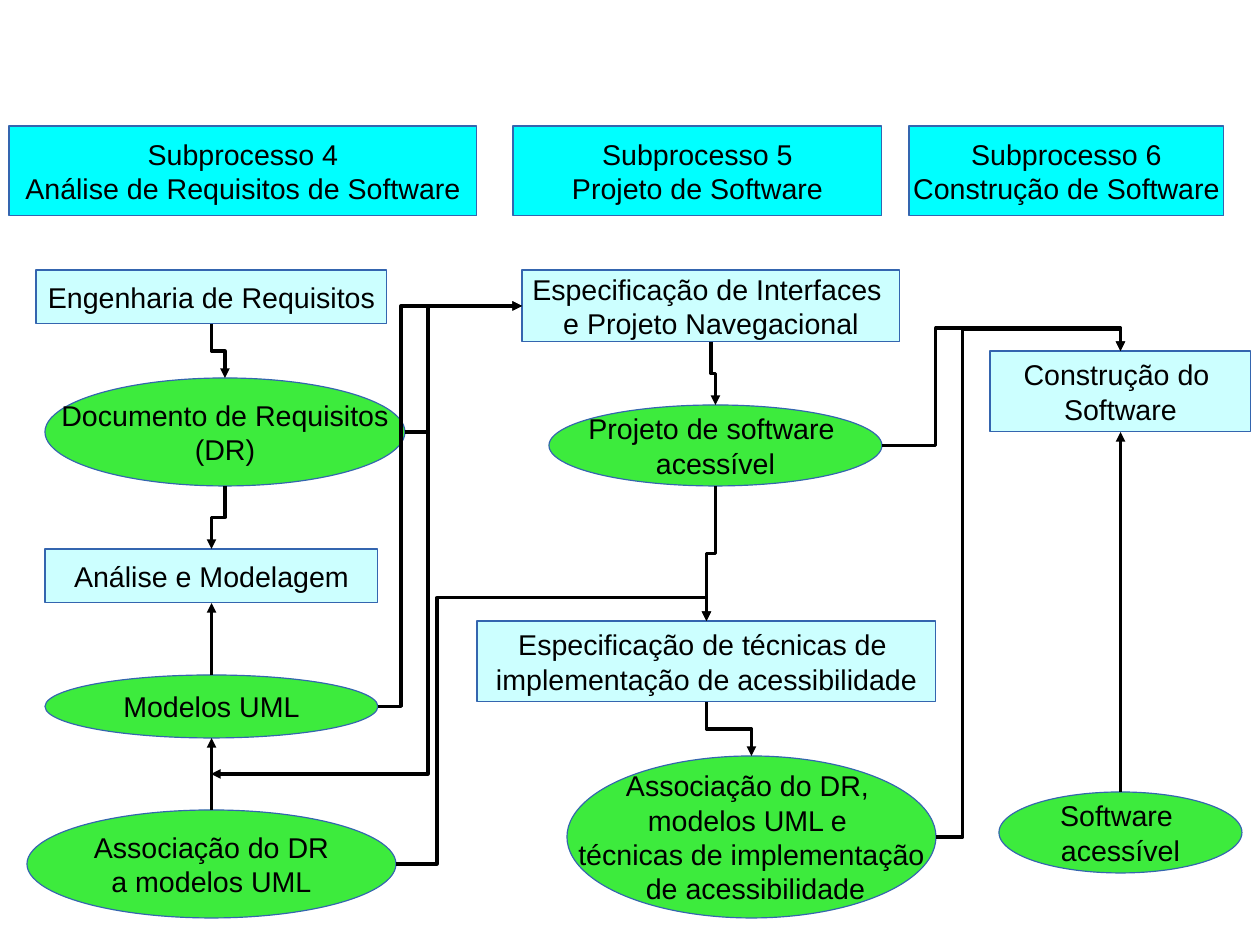
from lxml.etree import SubElement
from pptx import Presentation
from pptx.dml.color import RGBColor
from pptx.enum.shapes import MSO_CONNECTOR as LINK, MSO_SHAPE as SHAPE
from pptx.enum.text import MSO_ANCHOR as ANCHOR, PP_ALIGN as ALIGN
from pptx.oxml.ns import qn
from pptx.util import Emu, Pt

PX = 8000
TOP, LEFT, BOTTOM, RIGHT = range(4)
CYAN, PALE, GREEN, BLUE, BLACK = "00FFFF", "CCFFFF", "3DEB3D", "3465AF", "000000"


def px(n):
    return Emu(n * PX)


def rgb(value):
    return RGBColor.from_string(value)


class Flow:
    font, size = "Arial", Pt(18)

    def __init__(self, slide):
        self.slide = slide

    def node(self, kind, fill, text, x, y, w, h):
        s = self.slide.shapes.add_shape(kind, px(x), px(y), px(w), px(h))
        s.shadow.inherit = False
        s.fill.solid()
        s.fill.fore_color.rgb = rgb(fill)
        s.line.color.rgb = rgb(BLUE)
        s.line.width = Emu(0)
        tf = s.text_frame
        tf.word_wrap = False
        tf.vertical_anchor = ANCHOR.MIDDLE
        tf.text = text
        for p in tf.paragraphs:
            p.alignment = ALIGN.CENTER
            for r in p.runs:
                r.font.name, r.font.size = self.font, self.size
                r.font.color.rgb = rgb(BLACK)
        return s

    def header(self, text, x, w):
        return self.node(SHAPE.RECTANGLE, CYAN, text, x, 126, w, 90)

    def task(self, *args):
        return self.node(SHAPE.RECTANGLE, PALE, *args)

    def product(self, *args):
        return self.node(SHAPE.OVAL, GREEN, *args)

    def link(self, kind, a, a_side, b, b_side, end=(0, 0)):
        c = self.slide.shapes.add_connector(kind, 0, 0, px(end[0]), px(end[1]))
        c.begin_connect(a, a_side)
        joined = [("a:stCxn", a)]
        if b is not None:
            c.end_connect(b, b_side)
            joined.append(("a:endCxn", b))
        for tag, s in joined:
            if s.auto_shape_type == SHAPE.OVAL:
                site = next(c._element.iter(qn(tag)))
                site.set("idx", str(2 * int(site.get("idx"))))
        c.line.color.rgb = rgb(BLACK)
        c.line.width = Emu(0)
        props = c._element.spPr
        SubElement(props.find(qn("a:ln")), qn("a:tailEnd"), type="triangle")
        SubElement(props, qn("a:effectLst"))
        return c

    def up(self, a, b):
        self.link(LINK.STRAIGHT, a, TOP, b, BOTTOM)

    def bend(self, c, *ratios):
        geom = c._element.spPr.find(qn("a:prstGeom"))
        geom.set("prst", f"bentConnector{len(ratios) + 2}")
        guides = geom.find(qn("a:avLst"))
        for i, ratio in enumerate(ratios, 1):
            SubElement(guides, qn("a:gd"), name=f"adj{i}",
                       fmla=f"val {round(ratio * 100000)}")

    def down(self, a, b):
        c = self.link(LINK.ELBOW, a, BOTTOM, b, TOP)
        x1, y1, x2, y2 = c.begin_x, c.begin_y, c.end_x, c.end_y
        w, h = y2 - y1, abs(x2 - x1)
        c.left, c.top = Emu((x1 + x2 - w) // 2), Emu((y1 + y2 - h) // 2)
        c.width, c.height = Emu(w), Emu(h)
        xfrm = c._element.spPr.find(qn("a:xfrm"))
        xfrm.set("rot", "5400000")
        xfrm.set("flipH", "0")
        xfrm.set("flipV", "1" if x2 > x1 else "0")
        self.bend(c, 0.5)

    def across(self, a, b, side, x, y=None, end=(0, 0)):
        c = self.link(LINK.ELBOW, a, RIGHT, b, side, end)
        ratios = [(px(x) - c.begin_x) / (c.end_x - c.begin_x)]
        if y is not None:
            ratios.append((px(y) - c.begin_y) / (c.end_y - c.begin_y))
        self.bend(c, *ratios)


def main():
    prs = Presentation()
    prs.slide_width, prs.slide_height = px(1260), px(945)
    f = Flow(prs.slides.add_slide(prs.slide_layouts[6]))

    f.header("Subprocesso 4\nAnálise de Requisitos de Software", 9, 468)
    f.header("Subprocesso 5\nProjeto de Software", 513, 369)
    f.header("Subprocesso 6\nConstrução de Software", 909, 315)

    requirements = f.task("Engenharia de Requisitos", 36, 270, 351, 54)
    document = f.product("Documento de Requisitos\n(DR)", 45, 378, 360, 108)
    modelling = f.task("Análise e Modelagem", 45, 549, 333, 54)
    models = f.product("Modelos UML", 45, 675, 333, 63)
    mapping = f.product("Associação do DR\na modelos UML", 27, 810, 369, 108)

    interfaces = f.task("Especificação de Interfaces \ne Projeto Navegacional",
                        522, 270, 378, 72)
    design = f.product("Projeto de software \nacessível", 549, 405, 333, 81)
    techniques = f.task("Especificação de técnicas de \nimplementação de acessibilidade",
                        477, 621, 459, 81)
    full_mapping = f.product(
        "Associação do DR, \nmodelos UML e \ntécnicas de implementação\n de acessibilidade",
        567, 756, 369, 162)

    building = f.task("Construção do \nSoftware", 990, 351, 261, 81)
    software = f.product("Software \nacessível", 999, 792, 243, 81)

    for a, b in [(requirements, document), (document, modelling), (interfaces, design),
                 (design, techniques), (techniques, full_mapping)]:
        f.down(a, b)
    for a, b in [(models, modelling), (mapping, models), (software, building)]:
        f.up(a, b)

    f.across(document, None, None, 428, end=(211, 774))
    f.across(document, interfaces, LEFT, 428)
    f.across(models, interfaces, LEFT, 401)
    f.across(mapping, techniques, TOP, 437, 598)
    f.across(design, building, TOP, 936, 328)
    f.across(full_mapping, building, TOP, 963, 329)

    prs.save("out.pptx")


if __name__ == "__main__":
    main()
